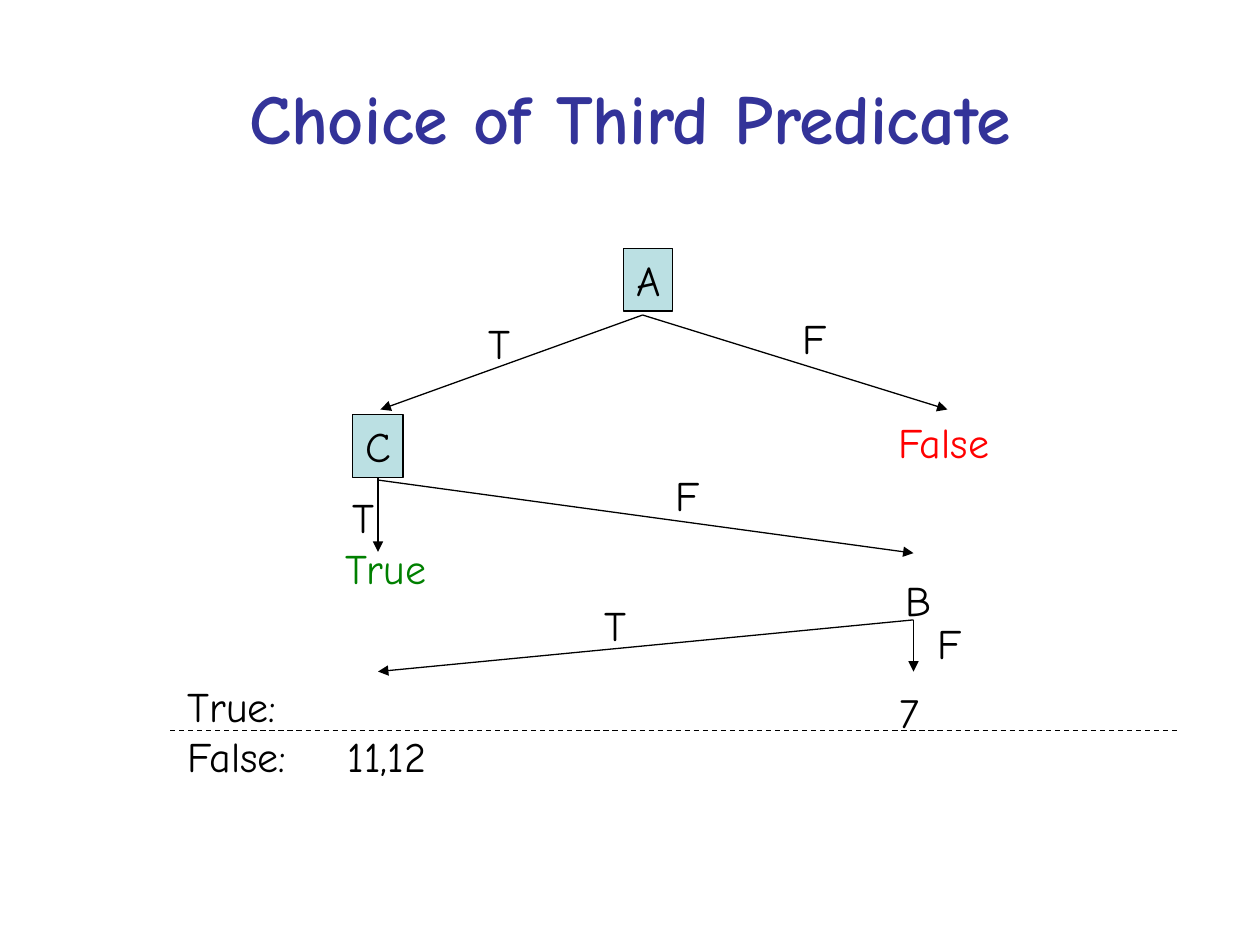
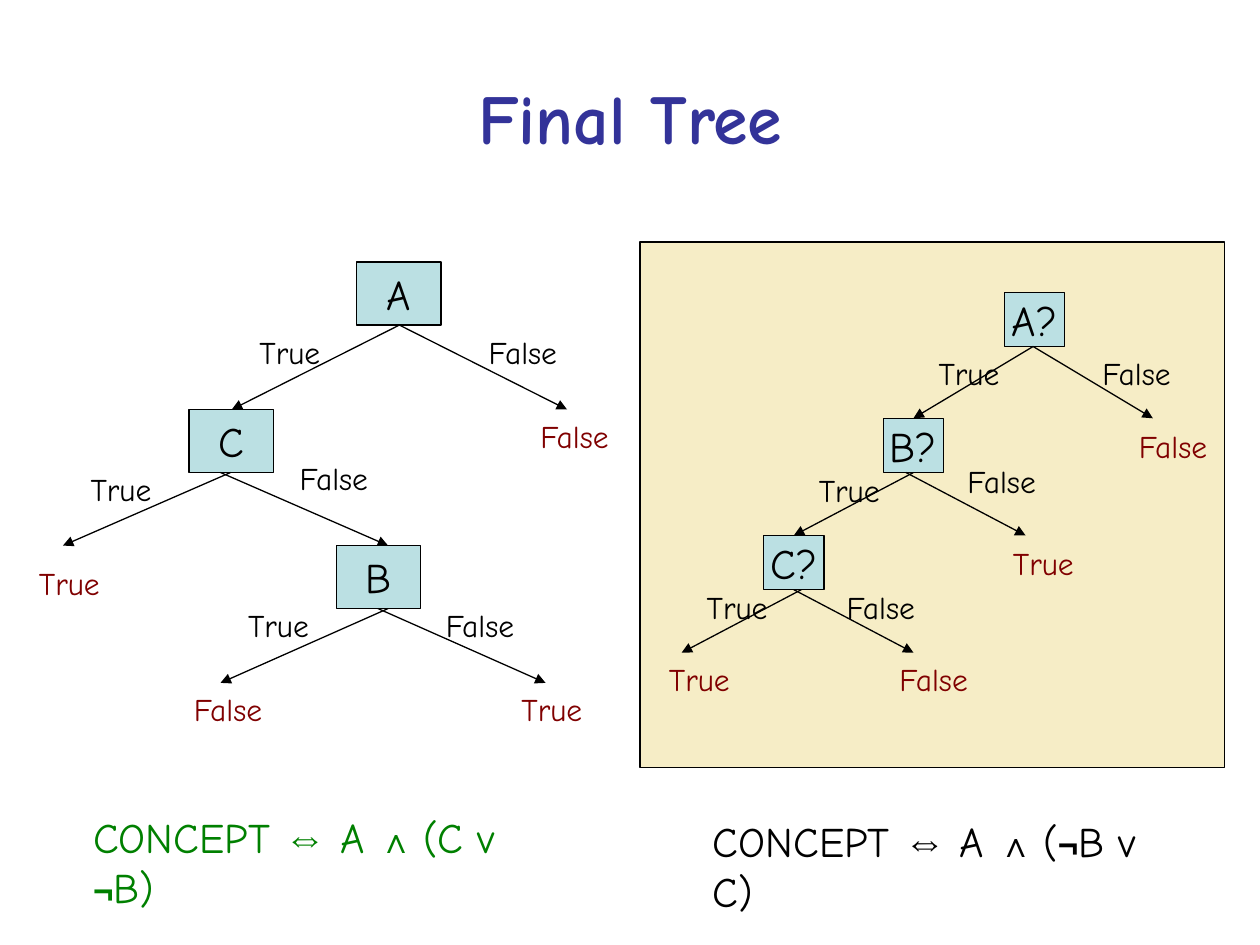
"""Builds two slides on decision trees: the third predicate and the final tree."""
from lxml.etree import SubElement
from pptx import Presentation
from pptx.dml.color import RGBColor
from pptx.enum.dml import MSO_LINE
from pptx.enum.shapes import MSO_CONNECTOR, MSO_SHAPE
from pptx.enum.text import MSO_ANCHOR, MSO_AUTO_SIZE, PP_ALIGN
from pptx.oxml.ns import qn
from pptx.util import Inches, Pt

BLACK = RGBColor(0x00, 0x00, 0x00)
NAVY = RGBColor(0x33, 0x33, 0x99)
TEAL = RGBColor(0xBB, 0xE0, 0xE3)
SAND = RGBColor(0xF6, 0xED, 0xC6)
RED = RGBColor(0xFF, 0x00, 0x00)
GREEN = RGBColor(0x00, 0x80, 0x00)
MAROON = RGBColor(0x80, 0x00, 0x00)
BODY_FONT = "Comic Neue"
SYMBOL_FONT = "Arial"
SYMBOL_SIZES = {"⇔": 24, "∧ ": 20, "¬": 20}
LABEL_HEIGHTS = {24: 0.5, 18: 0.4}
ANSWER_WIDTHS = {"True": 0.68, "False": 0.75}

PREDICATE_TITLE = "Choice of Third Predicate"
PREDICATE_NODES = [("C", 2.8, 3.29, 0.4), ("A", 4.95, 1.97, 0.39)]
PREDICATE_BRANCHES = [
    ((5.1, 2.5), (3.02, 3.25)),
    ((5.1, 2.5), (7.52, 3.25)),
    ((3, 3.79), (3, 4.38)),
    ((3, 3.81), (7.25, 4.39)),
    ((7.25, 4.92), (3, 5.33)),
    ((7.25, 4.92), (7.25, 5.33)),
]
PREDICATE_LABELS = [
    ("T", 3.78, 2.47, 0.37, BLACK),
    ("F", 6.27, 2.43, 0.39, BLACK),
    ("False", 7.03, 3.26, 0.94, RED),
    ("T", 2.7, 3.85, 0.37, BLACK),
    ("F", 5.26, 3.68, 0.39, BLACK),
    ("True", 2.64, 4.26, 0.84, GREEN),
    ("B", 7.09, 4.51, 0.4, BLACK),
    ("T", 4.7, 4.71, 0.37, BLACK),
    ("F", 7.34, 4.85, 0.39, BLACK),
    ("11,12", 2.66, 5.75, 0.9, BLACK),
    ("7", 7.04, 5.4, 0.36, BLACK),
]
EXAMPLE_ROWS = ["True:", "False:"]
ROW_DIVIDER = ((1.35, 5.8), (9.35, 5.8))

FINAL_TITLE = "Final Tree"
ALTERNATIVE_PANEL = (5.08, 1.92, 4.64, 4.17)
FINAL_TREES = [
    {
        "node_size": (0.67, 0.5),
        "reach": 1.33,
        "nodes": [
            {"name": "A", "at": (2.83, 2.08), "forks": (3.17, 3.17), "drop": 0.67},
            {"name": "C", "at": (1.5, 3.25), "forks": (1.83, 1.75), "drop": 0.58},
            {"name": "B", "at": (2.67, 4.33), "forks": (3.08, 3.0), "drop": 0.59},
        ],
        "answers": [
            ("True", 1.96, 2.59), ("False", 3.78, 2.59),
            ("True", 0.62, 3.68), ("False", 2.28, 3.59),
            ("True", 1.87, 4.76), ("False", 3.44, 4.76),
        ],
        "outcomes": [
            ("False", 4.19, 3.26), ("True", 0.21, 4.43),
            ("False", 1.44, 5.43), ("True", 4.04, 5.43),
        ],
    },
    {
        "node_size": (0.48, 0.43),
        "reach": 0.95,
        "nodes": [
            {"name": "A?", "at": (7.97, 2.32), "forks": (8.2, 8.2), "drop": 0.57},
            {"name": "B?", "at": (7.01, 3.32), "forks": (7.25, 7.19), "drop": 0.5},
            {"name": "C?", "at": (6.06, 4.25), "forks": (6.36, 6.3), "drop": 0.5},
        ],
        "answers": [
            ("True", 7.35, 2.76), ("False", 8.65, 2.76),
            ("True", 6.4, 3.69), ("False", 7.58, 3.62),
            ("True", 5.51, 4.62), ("False", 6.62, 4.62),
        ],
        "outcomes": [
            ("False", 8.94, 3.34), ("True", 7.94, 4.27),
            ("True", 5.21, 5.19), ("False", 7.04, 5.19),
        ],
    },
]
CONCEPTS = [
    (["CONCEPT ", "⇔", " A ", "∧ ", "(C v ", "¬", "B)"], 0.64, 6.39, GREEN),
    (["CONCEPT ", "⇔", " A ", "∧ ", "(", "¬", "B v C)"], 5.56, 6.42, BLACK),
]


def write_text(shape, paragraphs, size=24, color=BLACK, bold=False, align=PP_ALIGN.LEFT,
               anchor=MSO_ANCHOR.TOP, wrap=False, grow=False):
    frame = shape.text_frame
    frame.word_wrap = wrap
    frame.vertical_anchor = anchor
    frame.auto_size = MSO_AUTO_SIZE.SHAPE_TO_FIT_TEXT if grow else MSO_AUTO_SIZE.NONE
    for index, pieces in enumerate(paragraphs):
        paragraph = frame.add_paragraph() if index else frame.paragraphs[0]
        paragraph.alignment = align
        for piece in pieces:
            run = paragraph.add_run()
            run.text = piece
            symbol = piece in SYMBOL_SIZES
            run.font.name = SYMBOL_FONT if symbol else BODY_FONT
            run.font.size = Pt(SYMBOL_SIZES.get(piece, size))
            run.font.bold = bold or symbol
            run.font.color.rgb = color


def add_label(slide, paragraphs, left, top, width, size=24, **text_format):
    height = LABEL_HEIGHTS[size] + 0.4 * (len(paragraphs) - 1)
    label = slide.shapes.add_textbox(Inches(left), Inches(top), Inches(width), Inches(height))
    write_text(label, paragraphs, size=size, grow=True, **text_format)


def add_box(slide, left, top, width, height, fill=TEAL):
    box = slide.shapes.add_shape(
        MSO_SHAPE.RECTANGLE, Inches(left), Inches(top), Inches(width), Inches(height))
    box.shadow.inherit = False
    box.fill.solid()
    box.fill.fore_color.rgb = fill
    box.line.color.rgb = BLACK
    box.line.width = Pt(0.75)
    return box


def add_line(slide, start, end, arrow=True):
    line = slide.shapes.add_connector(
        MSO_CONNECTOR.STRAIGHT, *(Inches(value) for value in (*start, *end)))
    line.line.color.rgb = BLACK
    line.line.width = Pt(0.75)
    properties = line._element.spPr
    if arrow:
        SubElement(properties.find(qn("a:ln")), qn("a:tailEnd"), type="triangle")
    else:
        line.line.dash_style = MSO_LINE.DASH
    SubElement(properties, qn("a:effectLst"))


def add_titled_slide(deck, title):
    slide = deck.slides.add_slide(deck.slide_layouts[5])
    heading = slide.shapes.title
    heading.left, heading.top = Inches(0.5), Inches(0.3)
    heading.width, heading.height = Inches(9), Inches(1.25)
    write_text(heading, [[title]], size=40, color=NAVY, bold=True,
               align=PP_ALIGN.CENTER, anchor=MSO_ANCHOR.MIDDLE, wrap=True)
    return slide


def add_tree(slide, tree):
    width, height = tree["node_size"]
    for node in tree["nodes"]:
        left, top = node["at"]
        write_text(add_box(slide, left, top, width, height), [[node["name"]]],
                   align=PP_ALIGN.CENTER, anchor=MSO_ANCHOR.MIDDLE)
        fork_top = top + height
        for fork, direction in zip(node["forks"], (-1, 1)):
            branch_end = (fork + direction * tree["reach"], fork_top + node["drop"])
            add_line(slide, (fork, fork_top), branch_end)
    for group, color in (("answers", BLACK), ("outcomes", MAROON)):
        for answer, left, top in tree[group]:
            add_label(slide, [[answer]], left, top, ANSWER_WIDTHS[answer], size=18, color=color)


def build_predicate_slide(deck):
    slide = add_titled_slide(deck, PREDICATE_TITLE)
    for name, left, top, width in PREDICATE_NODES:
        write_text(add_box(slide, left, top, width, 0.5), [[name]], grow=True)
    for start, end in PREDICATE_BRANCHES:
        add_line(slide, start, end)
    add_line(slide, *ROW_DIVIDER, arrow=False)
    add_label(slide, [[row] for row in EXAMPLE_ROWS], 1.39, 5.35, 1)
    for text, left, top, width, color in PREDICATE_LABELS:
        add_label(slide, [[text]], left, top, width, color=color)


def build_final_slide(deck):
    slide = add_titled_slide(deck, FINAL_TITLE)
    add_box(slide, *ALTERNATIVE_PANEL, fill=SAND)
    for tree in FINAL_TREES:
        add_tree(slide, tree)
    for pieces, left, top, color in CONCEPTS:
        add_label(slide, [pieces], left, top, 3.81, color=color, wrap=True)


def main():
    deck = Presentation()
    deck.slide_width, deck.slide_height = Inches(10), Inches(7.5)
    build_predicate_slide(deck)
    build_final_slide(deck)
    deck.save("out.pptx")


if __name__ == "__main__":
    main()
